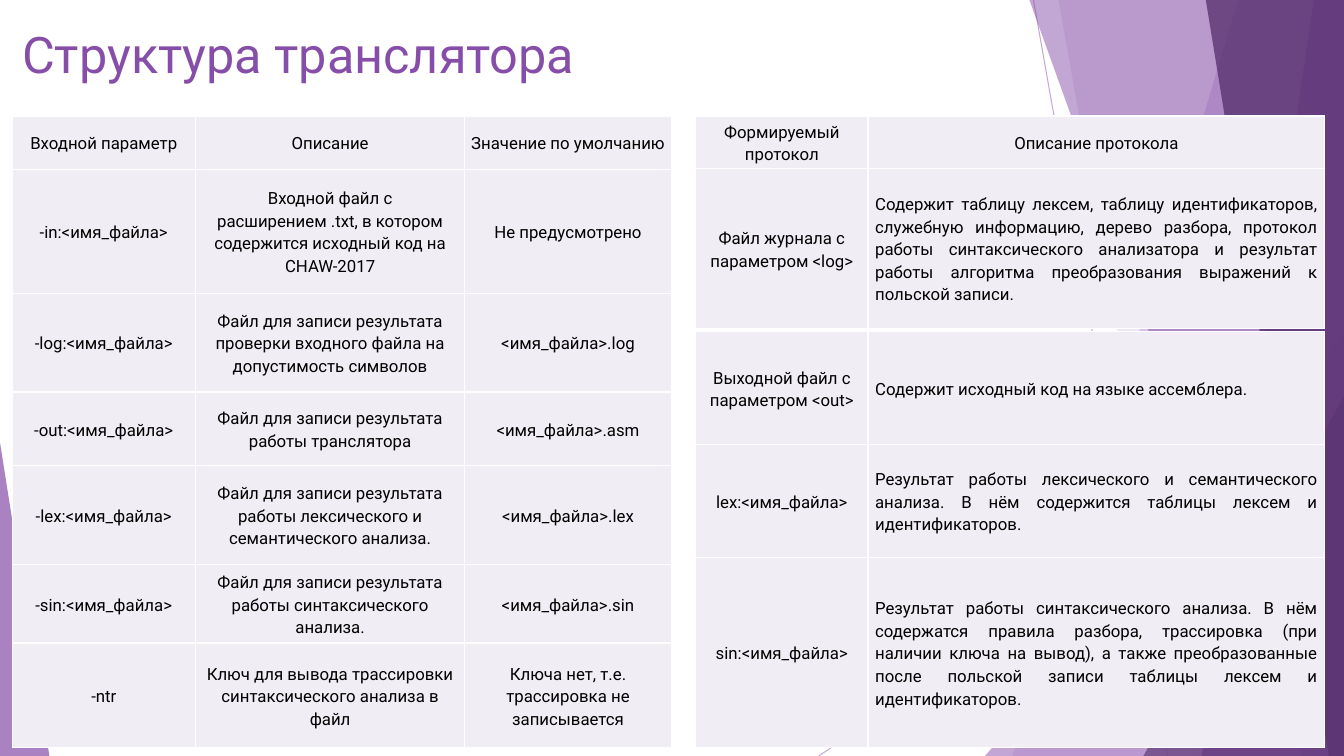
from lxml import etree
from pptx import Presentation
from pptx.dml.color import RGBColor
from pptx.enum.shapes import MSO_CONNECTOR, MSO_SHAPE
from pptx.enum.text import MSO_ANCHOR, MSO_AUTO_SIZE, PP_ALIGN
from pptx.oxml.ns import qn
from pptx.util import Inches, Pt

CENTER, JUSTIFY, LEFT = PP_ALIGN.CENTER, PP_ALIGN.JUSTIFY, PP_ALIGN.LEFT
TOP, MIDDLE = MSO_ANCHOR.TOP, MSO_ANCHOR.MIDDLE
TRIANGLE, STRAIGHT = MSO_SHAPE.ISOSCELES_TRIANGLE, MSO_CONNECTOR.STRAIGHT
W, H = 13.33, 7.5
FONT = "Roboto"
LILAC, VIOLET, PLUM = "AD84C6", "874EA9", "5A3471"
PALE, WHITE, BLACK = "F1EDF5", "FFFFFF", "000000"

# Table contents
PARAMETERS = [
    ["Входной параметр", "Описание", "Значение по умолчанию"],
    ["-in:<имя_файла>",
     "Входной файл с расширением .txt, в котором содержится исходный код на CHAW-2017",
     "Не предусмотрено"],
    ["-log:<имя_файла>",
     "Файл для записи результата проверки входного файла на допустимость символов",
     "<имя_файла>.log"],
    ["-out:<имя_файла>", "Файл для записи результата работы транслятора",
     "<имя_файла>.asm"],
    ["-lex:<имя_файла>",
     "Файл для записи результата работы лексического и семантического анализа.",
     "<имя_файла>.lex"],
    ["-sin:<имя_файла>",
     "Файл для записи результата работы синтаксического анализа.",
     "<имя_файла>.sin"],
    ["-ntr", "Ключ для вывода трассировки синтаксического анализа в файл",
     "Ключа нет, т.е. трассировка не записывается"],
]
LOG_PROTOCOL = [
    ["Формируемый протокол", "Описание протокола"],
    ["Файл журнала с параметром <log>",
     "Содержит таблицу лексем, таблицу идентификаторов, служебную информацию, "
     "дерево разбора, протокол работы синтаксического анализатора и результат "
     "работы алгоритма преобразования выражений к польской записи."],
]
OUTPUT_PROTOCOLS = [
    ["Выходной файл c параметром <out>", "Содержит исходный код на языке ассемблера."],
    ["lex:<имя_файла>",
     "Результат работы лексического и семантического анализа. "
     "В нём содержится таблицы лексем и идентификаторов."],
    ["sin:<имя_файла>",
     "Результат работы синтаксического анализа. В нём содержатся правила разбора, "
     "трассировка (при наличии ключа на вывод), а также преобразованные после "
     "польской записи таблицы лексем и идентификаторов."],
]


def rgb(color):
    return RGBColor.from_string(color)


def set_alpha(sp, percent):
    for clr in sp._element.spPr.iter(qn("a:srgbClr")):
        etree.SubElement(clr, qn("a:alpha"), val=str(percent * 1000))


def paint(sp, color, percent):
    sp.shadow.inherit = False
    sp.fill.solid()
    sp.fill.fore_color.rgb = rgb(color)
    sp.line.fill.background()
    set_alpha(sp, percent)


def write(tf, text, size=12, color=BLACK, align=LEFT, anchor=MIDDLE, spacing=None):
    tf.word_wrap = True
    tf.vertical_anchor = anchor
    p = tf.paragraphs[0]
    p.alignment, p.line_spacing = align, spacing
    r = p.add_run()
    r.text = text
    r.font.name, r.font.size, r.font.bold = FONT, Pt(size), False
    r.font.color.rgb = rgb(color)


def add_ray(s, x1, y1, x2, y2):
    line = s.shapes.add_connector(STRAIGHT, *map(Inches, (x1, y1, x2, y2)))
    line.line.color.rgb = rgb(LILAC)
    line.line.width = Pt(0.75)
    set_alpha(line, 70)
    etree.SubElement(line._element.spPr, qn("a:effectLst"))


def add_facet(s, top_x, bottom_x, color, percent):
    """Full-height facet between a slanted edge and the right side of the slide."""
    fb = s.shapes.build_freeform(Inches(top_x), 0)
    corners = [(W, 0), (W, H), (bottom_x, H)]
    fb.add_line_segments([(Inches(x), Inches(y)) for x, y in corners])
    paint(fb.convert_to_shape(), color, percent)


def add_corner(s, x, width, height, apex, color, percent):
    """Triangle standing on the bottom edge of the slide."""
    sp = s.shapes.add_shape(TRIANGLE, *map(Inches, (x, H - height, width, height)))
    sp.adjustments[0] = apex
    paint(sp, color, percent)


def add_backdrop(s):
    add_ray(s, 10.25, 0, 11.58, H)
    add_ray(s, W, 4.03, 8.12, H)
    add_facet(s, 12.28, 10.04, LILAC, 36)
    add_facet(s, 10.5, 11.83, LILAC, 20)
    add_corner(s, 9.77, 3.56, 4.17, 1, LILAC, 72)
    add_facet(s, 10.21, 12.91, VIOLET, 50)
    add_facet(s, 13.03, 11.92, VIOLET, 70)
    add_facet(s, 11.96, 13.18, PLUM, 80)
    add_corner(s, 11.34, 1.99, 3.57, 1, PLUM, 66)
    add_corner(s, 0, 0.49, 3.11, 0, VIOLET, 70)


def add_title(s, text, x, y, w, h):
    title = s.shapes.title
    title.left, title.top, title.width, title.height = map(Inches, (x, y, w, h))
    write(title.text_frame, text, size=36, color=VIOLET, anchor=TOP)
    title.text_frame.auto_size = MSO_AUTO_SIZE.NONE


def format_cell(cell, inset):
    cell.margin_left = cell.margin_right = Inches(inset)
    cell.margin_top = cell.margin_bottom = 0
    cell.vertical_anchor = MIDDLE
    tc_pr = cell._tc.get_or_add_tcPr()
    for side in ("lnL", "lnR", "lnT", "lnB"):
        ln = etree.SubElement(tc_pr, qn("a:" + side), w=str(Pt(1)))
        fill = etree.SubElement(ln, qn("a:solidFill"))
        etree.SubElement(fill, qn("a:srgbClr"), val=WHITE)
    cell.fill.solid()
    cell.fill.fore_color.rgb = rgb(PALE)


def add_grid(s, data, x, y, cols, rows, inset, justified=()):
    """Table whose (row, column) cells listed in justified are set full width."""
    box = map(Inches, (x, y, sum(cols), sum(rows)))
    table = s.shapes.add_table(len(rows), len(cols), *box).table
    table.first_row = table.horz_banding = False
    for column, width in zip(table.columns, cols):
        column.width = Inches(width)
    for i, (row, height) in enumerate(zip(table.rows, rows)):
        row.height = Inches(height)
        for j, cell in enumerate(row.cells):
            align = JUSTIFY if (i, j) in justified else CENTER
            write(cell.text_frame, data[i][j], align=align, spacing=1.15)
            format_cell(cell, inset)


def main():
    prs = Presentation()
    prs.slide_width, prs.slide_height = Inches(W), Inches(H)
    s = prs.slides.add_slide(prs.slide_layouts[5])
    add_backdrop(s)
    add_title(s, "Структура транслятора", 0.12, 0.18, 6.09, 0.97)

    # Input parameters on the left, protocols on the right
    add_grid(s, PARAMETERS, 0.12, 1.15, [1.82, 2.67, 2.05],
             [0.53, 1.23, 0.98, 0.73, 0.98, 0.78, 1.04], 0.06)
    protocol_cols = [1.71, 4.53]
    add_grid(s, LOG_PROTOCOL, 6.9, 1.15, protocol_cols, [0.52, 1.59], 0.07, [(1, 1)])
    add_grid(s, OUTPUT_PROTOCOLS, 6.9, 3.29, protocol_cols, [1.12, 1.12, 1.89], 0.07,
             [(i, 1) for i in range(3)])
    prs.save("out.pptx")


if __name__ == "__main__":
    main()
